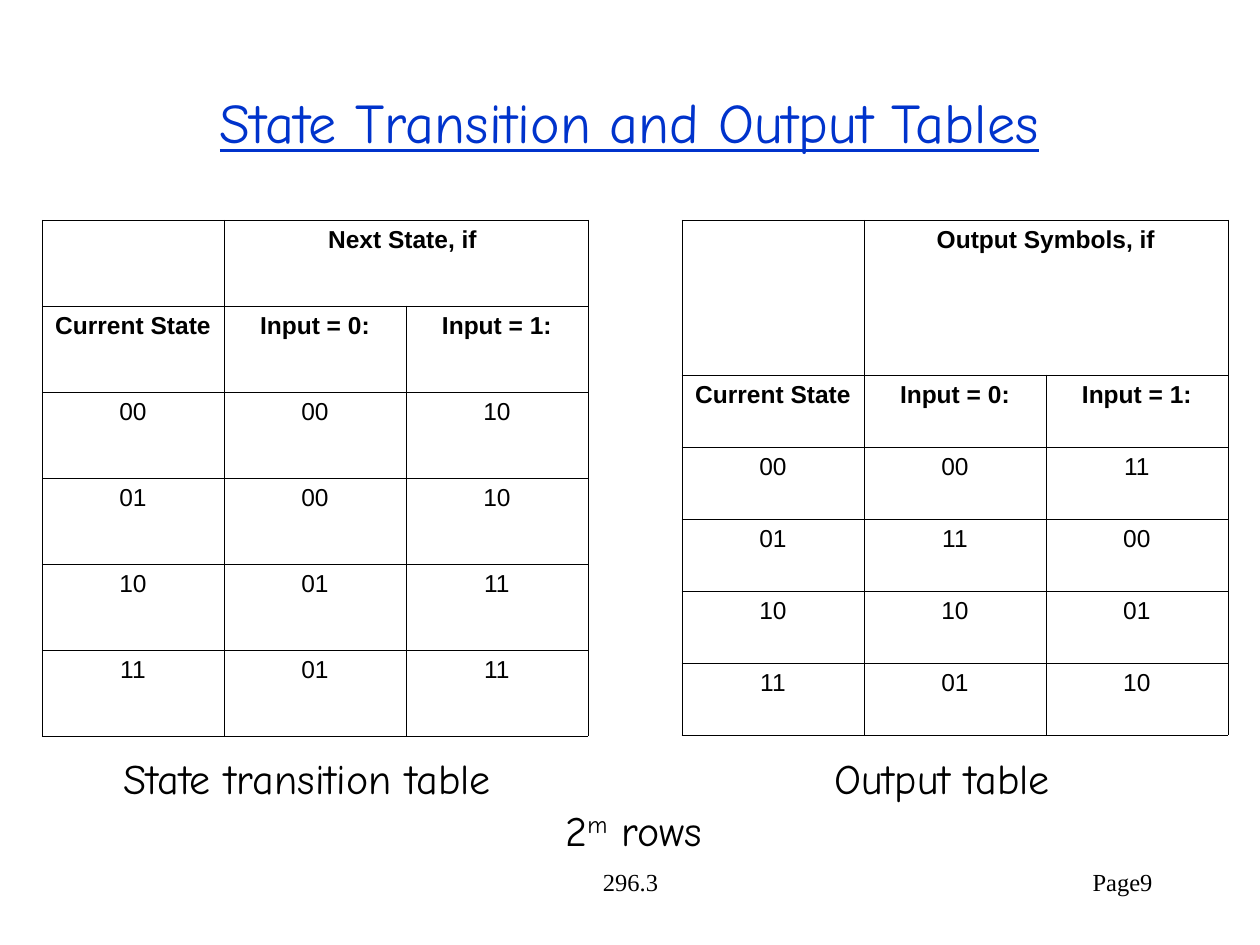
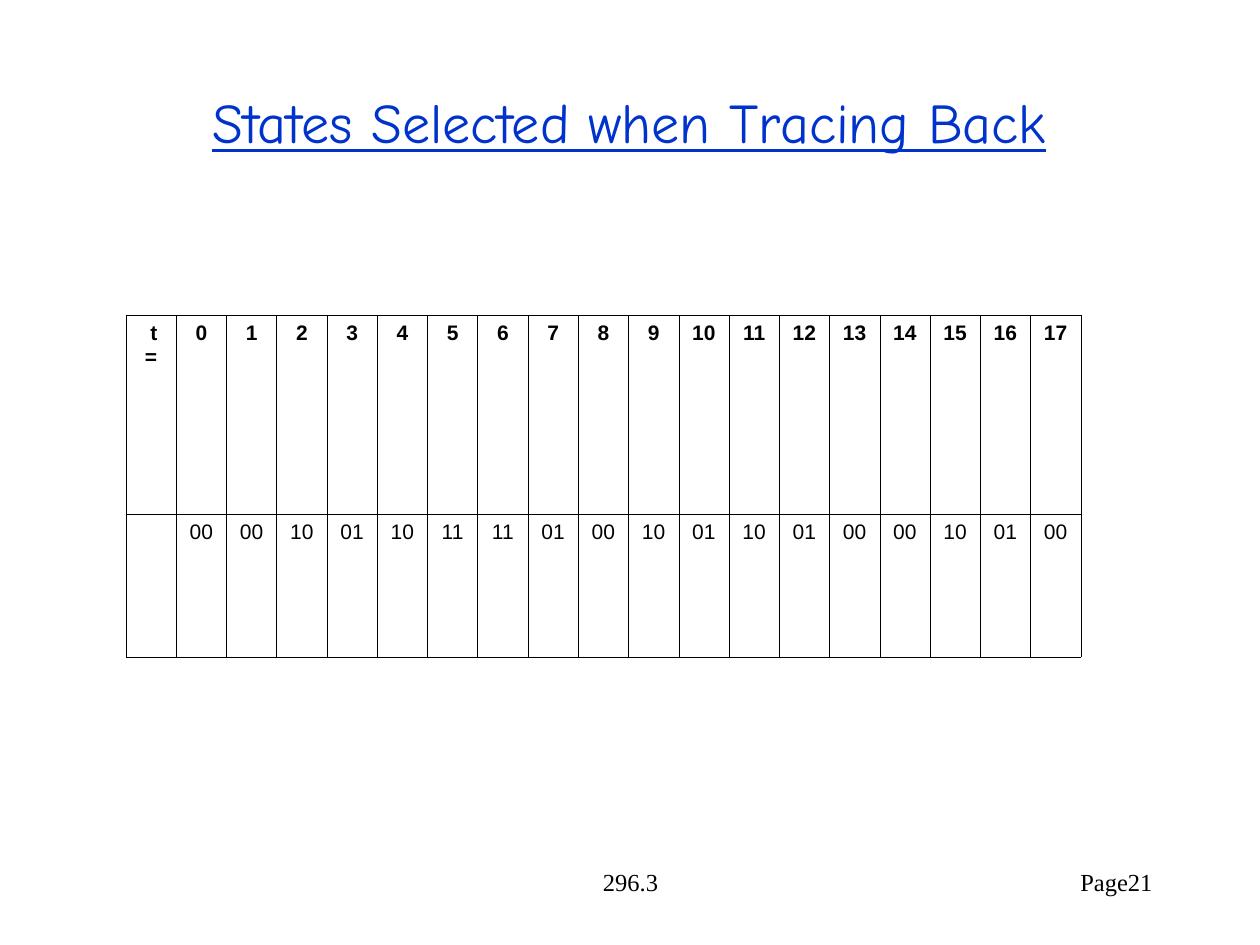
"""Builds two slides with the state, output and trace-back tables of a convolutional code."""
from dataclasses import dataclass

from lxml import etree
from pptx import Presentation
from pptx import util as u
from pptx.dml.color import RGBColor
from pptx.enum import text
from pptx.oxml import ns


@dataclass(frozen=True)
class Theme:
    ink: RGBColor = RGBColor(0x00, 0x00, 0x00)
    title_color: RGBColor = RGBColor(0x00, 0x33, 0xCC)
    hand: str = "Comic Neue"
    sans: str = "Arial"
    serif: str = "Times New Roman"
    title_size: int = 32
    caption_size: int = 24
    body_size: int = 14
    trace_size: int = 12
    border: float = 0.34


theme = Theme()
scale = 914400 / 126
CENTER, LEFT, RIGHT = text.PP_ALIGN.CENTER, text.PP_ALIGN.LEFT, text.PP_ALIGN.RIGHT


def write(paragraph, words, face, size, align, color=theme.ink, bold=False):
    paragraph.text = words
    paragraph.alignment = align
    font = paragraph.font
    font.name, font.size, font.bold = face, u.Pt(size), bold
    font.color.rgb = color
    return paragraph


def add_grid(slide, left, top, width, heights, rows, size, header_rows):
    columns = len(rows[0])
    shape = slide.shapes.add_table(
        len(rows), columns, *(round(n * scale) for n in (left, top, width, sum(heights))))
    table = shape.table
    table.first_row = table.horz_banding = False
    for column in table.columns:
        column.width = round(width * scale / columns)
    for row_index, (height, row) in enumerate(zip(heights, rows)):
        table.rows[row_index].height = round(height * scale)
        for column_index, words in enumerate(row):
            cell = table.cell(row_index, column_index)
            write(cell.text_frame.paragraphs[0], words, theme.sans, size, CENTER,
                  bold=row_index < header_rows)
            cell.fill.background()
            properties = cell._tc.get_or_add_tcPr()
            for position, side in enumerate(("a:lnL", "a:lnR", "a:lnT", "a:lnB")):
                line = etree.Element(ns.qn(side), w=str(u.Pt(theme.border)))
                fill = etree.SubElement(line, ns.qn("a:solidFill"))
                etree.SubElement(fill, ns.qn("a:srgbClr"), val=str(theme.ink))
                properties.insert(position, line)
    return table


presentation = Presentation()
presentation.slide_width, presentation.slide_height = round(1260 * scale), round(945 * scale)

slides = []
for heading, page in (("State Transition and Output Tables", "Page9"),
                      ("States Selected when Tracing Back", "Page21")):
    slide = presentation.slides.add_slide(presentation.slide_layouts[5])
    slides.append(slide)
    title = slide.shapes.title
    title.left, title.top, title.width, title.height = (
        round(n * scale) for n in (94, 63, 1071, 116))
    title.text_frame.auto_size = text.MSO_AUTO_SIZE.NONE
    title.text_frame.vertical_anchor = text.MSO_ANCHOR.MIDDLE
    paragraph = write(title.text_frame.paragraphs[0], heading, theme.hand,
                      theme.title_size, CENTER, theme.title_color)
    paragraph.font.underline = True
    for words, left, width, align in (("296.3", 431, 399, CENTER), (page, 903, 262, RIGHT)):
        footer = slide.shapes.add_textbox(*(round(n * scale) for n in (left, 861, width, 63)))
        footer.text_frame.word_wrap = True
        write(footer.text_frame.paragraphs[0], words, theme.serif, theme.body_size, align)

tables_slide, trace_slide = slides
states = ("00", "01", "10", "11")
column_heads = ("Current State", "Input = 0:", "Input = 1:")
for left, heights, heading, results in (
        (42, [86] * 6, "Next State, if ",
         (("00", "10"), ("00", "10"), ("01", "11"), ("01", "11"))),
        (682, [155] + [72] * 5, "Output Symbols, if",
         (("00", "11"), ("11", "00"), ("10", "01"), ("01", "10")))):
    rows = [("", heading, ""), column_heads]
    rows += [(state, *result) for state, result in zip(states, results)]
    table = add_grid(tables_slide, left, 220, 546, heights, rows, theme.body_size, 2)
    table.cell(0, 1).merge(table.cell(0, 2))

for words, left, top, width in (("State transition table", 111, 746, 397),
                                ("Output table", 822, 746, 242),
                                ("2", 553, 798, 163)):
    caption = tables_slide.shapes.add_textbox(*(round(n * scale) for n in (left, top, width, 63)))
    caption.text_frame.word_wrap = False
    caption.text_frame.auto_size = text.MSO_AUTO_SIZE.SHAPE_TO_FIT_TEXT
    paragraph = write(caption.text_frame.paragraphs[0], words, theme.hand,
                      theme.caption_size, LEFT)
exponent = paragraph.add_run()
exponent.text = "m"
exponent.font._element.set("baseline", "30000")
paragraph.add_run().text = " rows"

trace = "00 00 10 01 10 11 11 01 00 10 01 10 01 00 00 10 01 00".split()
times = [str(time) for time in range(len(trace))]
table = add_grid(trace_slide, 126, 315, 955, (199, 143),
                 [["", *times], ["", *trace]], theme.trace_size, 1)
paragraph = table.cell(0, 0).text_frame.paragraphs[0]
lead = paragraph.add_run()
lead.text = " "
lead.font.name, lead.font.bold = theme.serif, False
paragraph.add_run().text = "t ="

presentation.save("out.pptx")
